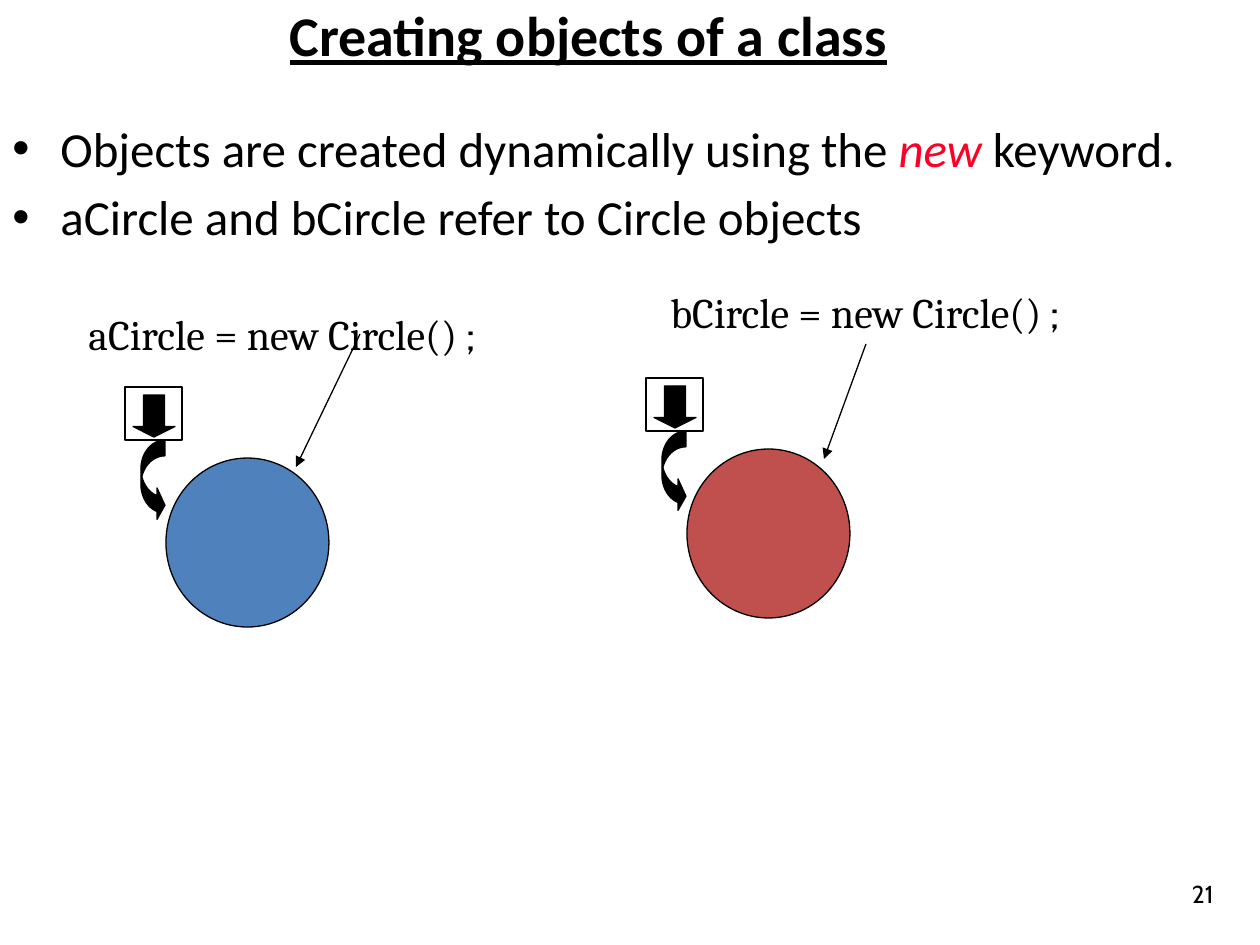
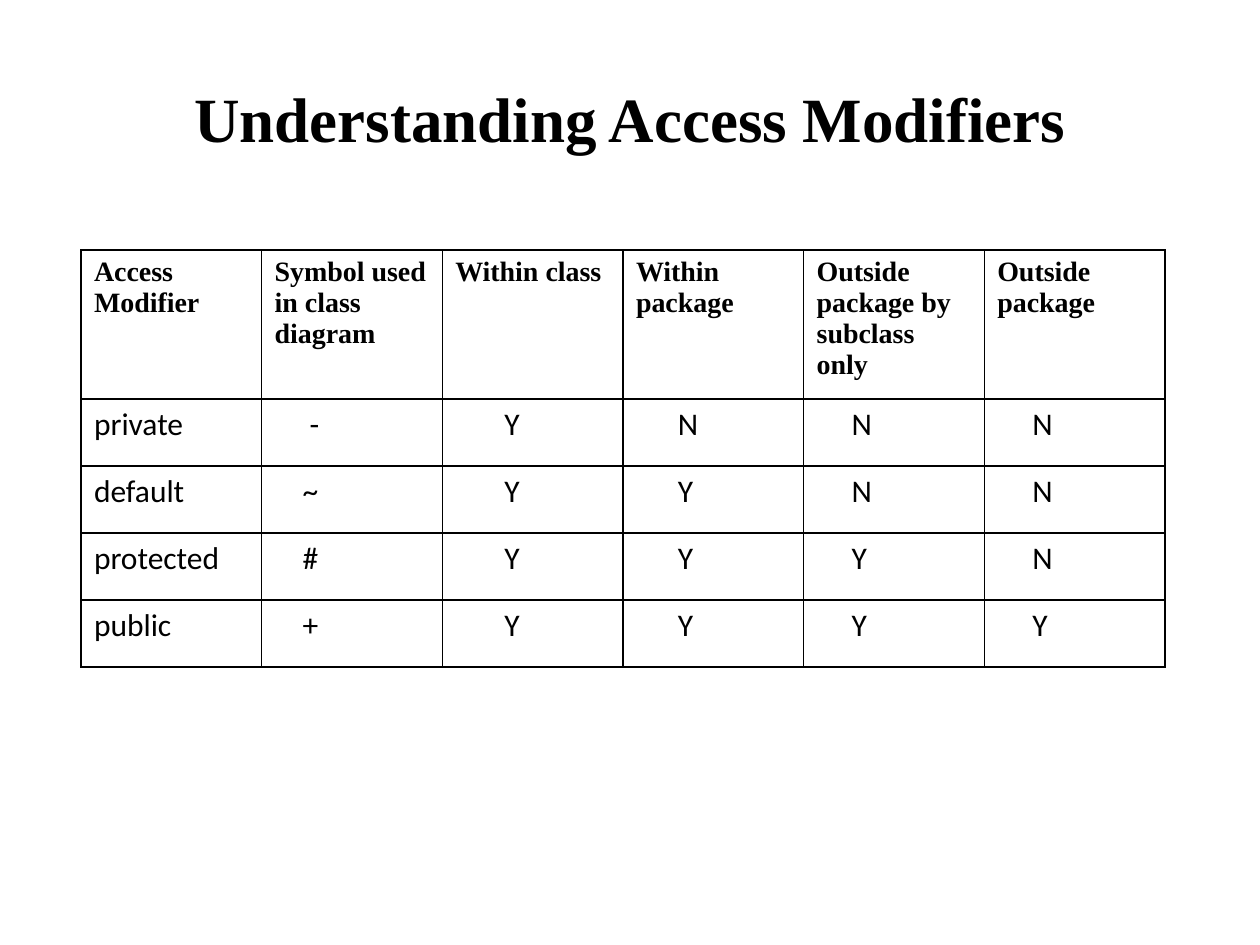
from dataclasses import dataclass

from lxml import etree
from pptx import Presentation
from pptx.dml.color import RGBColor
from pptx.enum.shapes import MSO_CONNECTOR, MSO_SHAPE
from pptx.enum.text import MSO_ANCHOR, MSO_AUTO_SIZE, PP_ALIGN
from pptx.oxml.ns import qn
from pptx.util import Emu, Pt

RECTANGLE, ELLIPSE = MSO_SHAPE.RECTANGLE, MSO_SHAPE.OVAL
CURVED_ARROW, DOWN_ARROW = MSO_SHAPE.CURVED_RIGHT_ARROW, MSO_SHAPE.DOWN_ARROW
STRAIGHT = MSO_CONNECTOR.STRAIGHT
TOP, MIDDLE = MSO_ANCHOR.TOP, MSO_ANCHOR.MIDDLE
LEFT, CENTER, RIGHT = PP_ALIGN.LEFT, PP_ALIGN.CENTER, PP_ALIGN.RIGHT
GROW = MSO_AUTO_SIZE.SHAPE_TO_FIT_TEXT

EMU_PER_PX = 914400 / 126
SLIDE_SIZE = (1260, 945)


@dataclass(frozen=True)
class Theme:
    black: str = "000000"
    white: str = "FFFFFF"
    keyword: str = "FC0128"
    blue: str = "4F81BD"
    red: str = "C0504D"
    sans: str = "Calibri"
    serif: str = "Times New Roman"
    code: str = "Cambria"
    number: str = "Cabin"
    title_size: int = 32
    table_title_size: int = 36
    body_size: int = 28
    code_size: int = 24
    number_size: int = 14
    header_size: int = 16
    cell_size: int = 18
    outline: float = 0.75
    border: int = 1


THEME = Theme()

OBJECTS_TITLE = "Creating objects of a class"
PAGE_NUMBER = "21"
KEYWORD = "new"
BULLETS = [
    ["Objects are created dynamically using the ", KEYWORD, " keyword."],
    ["aCircle and bCircle refer to Circle objects"],
]
BULLET_INDENT = 48

CIRCLES = [
    {"code": "aCircle = new Circle() ", "label": (76, 302, 441, 64), "origin": (125, 387),
     "color": THEME.blue, "pointer": ((360, 334), (296, 467))},
    {"code": "bCircle = new Circle() ", "label": (658, 280, 536, 64), "origin": (646, 378),
     "color": THEME.red, "pointer": ((866, 344), (824, 459))},
]
VARIABLE_BOX = (0, 0, 57, 53)
REFERENCE_ARROW = (16, 53, 24, 81)
CIRCLE_BOX = (41, 71, 163, 169)
VALUE_ARROW = (8, 8, 42, 42)

MODIFIERS_TITLE = "Understanding Access Modifiers"
MODIFIER_HEADERS = ["Access Modifier", "Symbol used in class diagram", "Within class",
                    "Within package", "Outside package by subclass only", "Outside package"]
MODIFIERS = [
    ("private", "-", "Y", "N", "N", "N"),
    ("default", "~", "Y", "Y", "N", "N"),
    ("protected", "#", "Y", "Y", "Y", "N"),
    ("public", "+", "Y", "Y", "Y", "Y"),
]
TABLE_LEFT, TABLE_TOP, TABLE_WIDTH = 81, 250, 1084
HEADER_HEIGHT, ROW_HEIGHT = 149, 67
CELL_MARGIN, SPACE_WIDTH = 13, 7
COLUMN_SPACES = [0, 4, 7, 6, 5, 5]
MINUS_SPACES = 5


def px(value):
    return Emu(round(value * EMU_PER_PX))


def rgb(color):
    return RGBColor.from_string(color)


def style(run, font, size, color=THEME.black, bold=False, italic=False, underline=False):
    run.font.name = font
    run.font.size = Pt(size)
    run.font.color.rgb = rgb(color)
    run.font.bold = bold
    run.font.italic = italic
    run.font.underline = underline


def add_text(slide, box, text, font, size, align=LEFT, anchor=MIDDLE, **emphasis):
    shape = slide.shapes.add_textbox(*map(px, box))
    frame = shape.text_frame
    frame.word_wrap = True
    frame.vertical_anchor = anchor
    frame.text = text
    paragraph = frame.paragraphs[0]
    paragraph.alignment = align
    style(paragraph.runs[0], font, size, **emphasis)


def add_bullets(slide, box):
    frame = slide.shapes.add_textbox(*map(px, box)).text_frame
    frame.word_wrap = True
    for index, pieces in enumerate(BULLETS):
        paragraph = frame.add_paragraph() if index else frame.paragraphs[0]
        properties = paragraph._p.get_or_add_pPr()
        properties.set("marL", str(px(BULLET_INDENT)))
        properties.set("indent", str(px(-BULLET_INDENT)))
        etree.SubElement(properties, qn("a:buFont"), typeface="Arial")
        etree.SubElement(properties, qn("a:buChar"), char="•")
        if index:
            paragraph.space_before = Pt(THEME.body_size * 0.2)
        for piece in pieces:
            run = paragraph.add_run()
            run.text = piece
            is_keyword = piece == KEYWORD
            style(run, THEME.sans, THEME.body_size, italic=is_keyword,
                  color=THEME.keyword if is_keyword else THEME.black)


def add_shape(slide, kind, box, fill=None, line=THEME.black, origin=(0, 0)):
    left, top, width, height = box
    shape = slide.shapes.add_shape(kind, px(origin[0] + left), px(origin[1] + top),
                                   px(width), px(height))
    shape.shadow.inherit = False
    if fill:
        shape.fill.solid()
        shape.fill.fore_color.rgb = rgb(fill)
    else:
        shape.fill.background()
    shape.line.color.rgb = rgb(line)
    shape.line.width = Pt(THEME.outline)
    return shape


def add_code_label(slide, box, code):
    frame = add_shape(slide, RECTANGLE, box, line=THEME.white).text_frame
    frame.word_wrap = True
    frame.auto_size = GROW
    frame.vertical_anchor = TOP
    paragraph = frame.paragraphs[0]
    paragraph.alignment = LEFT
    for text, font in ((code, THEME.code), (";", THEME.number)):
        run = paragraph.add_run()
        run.text = text
        style(run, font, THEME.code_size)


def add_pointer(slide, start, end):
    connector = slide.shapes.add_connector(STRAIGHT, *map(px, start + end))
    connector.line.color.rgb = rgb(THEME.black)
    connector.line.width = Pt(THEME.outline)
    etree.SubElement(connector.line._get_or_add_ln(), qn("a:tailEnd"), type="triangle")
    etree.SubElement(connector._element.spPr, qn("a:effectLst"))


def add_circle_object(slide, circle):
    origin = circle["origin"]
    add_code_label(slide, circle["label"], circle["code"])
    add_shape(slide, RECTANGLE, VARIABLE_BOX, THEME.white, origin=origin)
    curved = add_shape(slide, CURVED_ARROW, REFERENCE_ARROW, THEME.black, origin=origin)
    for index, value in enumerate((0.66, 1.31, 0.33)):
        curved.adjustments[index] = value
    add_shape(slide, ELLIPSE, CIRCLE_BOX, circle["color"], origin=origin)
    add_pointer(slide, *circle["pointer"])
    down = add_shape(slide, DOWN_ARROW, VALUE_ARROW, THEME.black, origin=origin)
    down.adjustments[0] = 0.5
    down.adjustments[1] = 0.25


def border_cell(cell):
    properties = cell._tc.get_or_add_tcPr()
    for index, side in enumerate(("a:lnL", "a:lnR", "a:lnT", "a:lnB")):
        line = etree.Element(qn(side), w=str(Pt(THEME.border)))
        fill = etree.SubElement(line, qn("a:solidFill"))
        etree.SubElement(fill, qn("a:srgbClr"), val=THEME.black)
        properties.insert(index, line)


def add_modifier_table(slide):
    rows = [MODIFIER_HEADERS, *MODIFIERS]
    height = HEADER_HEIGHT + ROW_HEIGHT * len(MODIFIERS)
    table = slide.shapes.add_table(len(rows), len(MODIFIER_HEADERS), px(TABLE_LEFT),
                                   px(TABLE_TOP), px(TABLE_WIDTH), px(height)).table
    table.first_row = False
    table.horz_banding = False
    for column in table.columns:
        column.width = px(TABLE_WIDTH / len(MODIFIER_HEADERS))
    for row_index, values in enumerate(rows):
        is_header = row_index == 0
        table.rows[row_index].height = px(HEADER_HEIGHT if is_header else ROW_HEIGHT)
        for column_index, value in enumerate(values):
            cell = table.cell(row_index, column_index)
            cell.text = value
            cell.fill.background()
            border_cell(cell)
            spaces = MINUS_SPACES if value == "-" else COLUMN_SPACES[column_index]
            cell.margin_left = px(CELL_MARGIN + (0 if is_header else spaces * SPACE_WIDTH))
            run = cell.text_frame.paragraphs[0].runs[0]
            if is_header:
                style(run, THEME.serif, THEME.header_size, bold=True)
            else:
                style(run, THEME.sans, THEME.cell_size)


def build_objects_slide(slide):
    add_text(slide, (95, 0, 987, 69), OBJECTS_TITLE, THEME.sans, THEME.title_size,
             CENTER, bold=True, underline=True)
    add_bullets(slide, (0, 112, 1225, 600))
    add_text(slide, (1137, 869, 89, 50), PAGE_NUMBER, THEME.number, THEME.number_size, RIGHT)
    for circle in CIRCLES:
        add_circle_object(slide, circle)


def build_modifiers_slide(slide):
    add_text(slide, (63, 38, 1134, 158), MODIFIERS_TITLE, THEME.serif,
             THEME.table_title_size, CENTER, bold=True)
    add_modifier_table(slide)


def main():
    presentation = Presentation()
    presentation.slide_width, presentation.slide_height = map(px, SLIDE_SIZE)
    blank = presentation.slide_layouts[6]
    for build in (build_objects_slide, build_modifiers_slide):
        build(presentation.slides.add_slide(blank))
    presentation.save("out.pptx")


if __name__ == "__main__":
    main()
